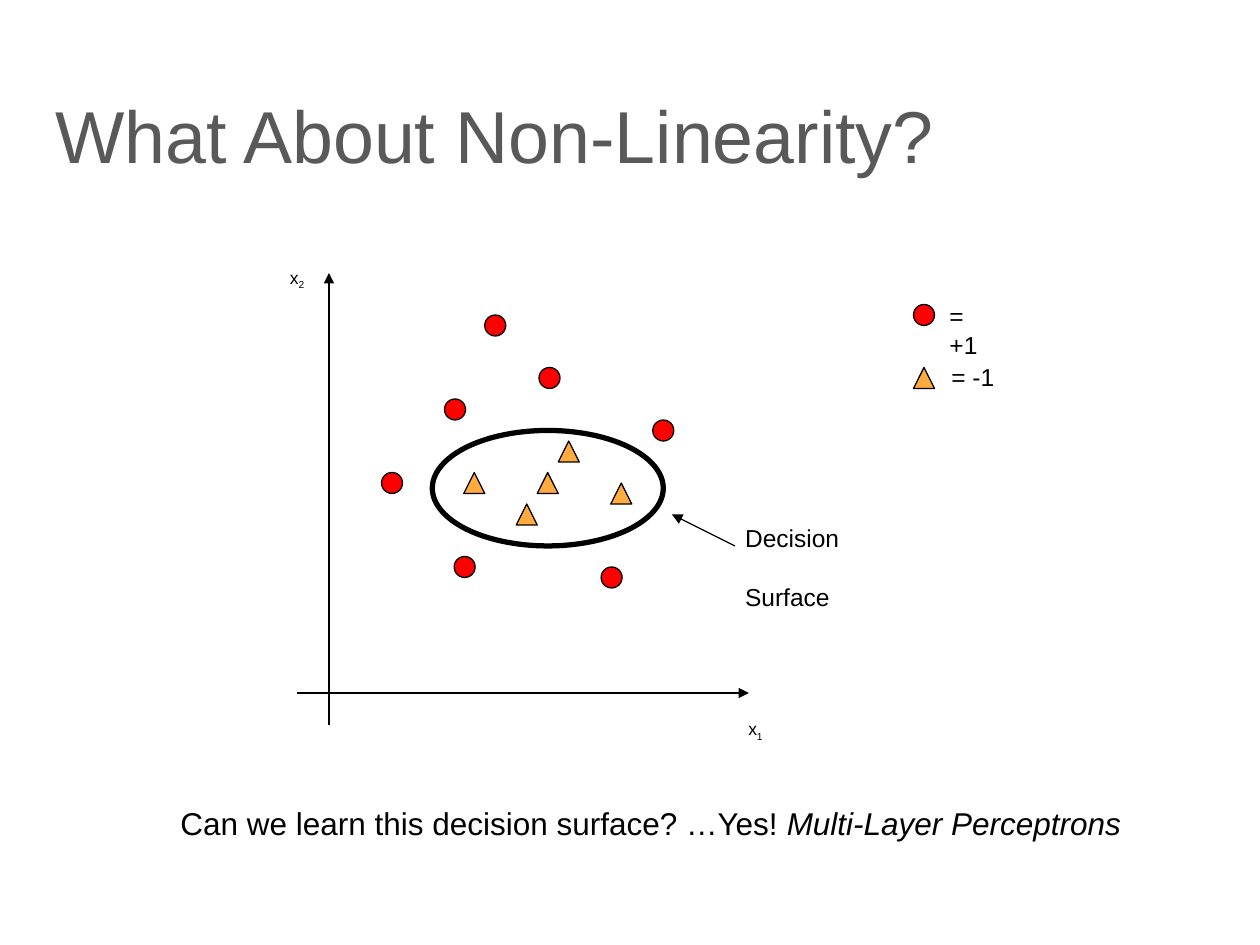
from dataclasses import dataclass

from lxml import etree
from pptx import Presentation
from pptx.dml.color import RGBColor
from pptx.enum import shapes, text
from pptx.oxml import ns
from pptx.util import Pt


@dataclass(frozen=True)
class Theme:
    font: str = "Arial"
    ink: str = "000000"
    grey: str = "595959"
    red: str = "FF0000"
    amber: str = "FFAB40"
    head: int = 42
    body: int = 18
    note: int = 14
    axis: int = 10
    thin: float = 0.75
    bold: float = 3


THEME = Theme()
OVAL = shapes.MSO_SHAPE.OVAL
WEDGE = shapes.MSO_SHAPE.ISOSCELES_TRIANGLE
SIZE = 12  # marker width and height

PLUS = [(277, 180), (373, 240), (343.5, 324), (218, 270),
        (254, 228), (259.5, 318), (308, 210)]
MINUS = [(265, 270), (319, 252), (295, 288), (307, 270), (349, 276)]


def rgb(code):
    return RGBColor.from_string(code)


def add_run(para, words, size, color=THEME.ink, italic=None, base=None):
    run = para.add_run()
    run.text = words
    font = run.font
    font.name, font.size, font.italic = THEME.font, Pt(size), italic
    font.color.rgb = rgb(color)
    if base:
        run._r.get_or_add_rPr().set("baseline", str(base * 1000))


def add_title(slide, words):
    title = slide.shapes.title
    title.left, title.top = Pt(24.5), Pt(46.8)
    title.width, title.height = Pt(671), Pt(60)
    frame = title.text_frame
    frame.auto_size = text.MSO_AUTO_SIZE.NONE
    frame.vertical_anchor = text.MSO_ANCHOR.MIDDLE
    para = frame.paragraphs[0]
    para.alignment = text.PP_ALIGN.LEFT
    add_run(para, words, THEME.head, THEME.grey)


def add_label(slide, box, size, *runs, wrap=True):
    """Add a text box; each run is (words, options). Return its frame."""
    frame = slide.shapes.add_textbox(*map(Pt, box)).text_frame
    frame.word_wrap = wrap
    for words, opts in runs:
        add_run(frame.paragraphs[0], words, size, **opts)
    return frame


def add_shape(slide, kind, box, fill=None, width=THEME.thin):
    shape = slide.shapes.add_shape(kind, *map(Pt, box))
    shape.shadow.inherit = False
    if fill:
        shape.fill.solid()
        shape.fill.fore_color.rgb = rgb(fill)
    else:
        shape.fill.background()
    shape.line.color.rgb = rgb(THEME.ink)
    shape.line.width = Pt(width)


def add_marks(slide, kind, fill, spots):
    for left, top in spots:
        add_shape(slide, kind, (left, top, SIZE, SIZE), fill)


def add_arrow(slide, start, end):
    arrow = slide.shapes.add_connector(
        shapes.MSO_CONNECTOR.STRAIGHT, *map(Pt, start + end))
    arrow.line.color.rgb = rgb(THEME.ink)
    arrow.line.width = Pt(THEME.thin)
    tip = etree.SubElement(arrow.line._get_or_add_ln(), ns.qn("a:tailEnd"))
    tip.set("type", "triangle")
    etree.SubElement(arrow._element.spPr, ns.qn("a:effectLst"))


def add_axes(slide):
    add_arrow(slide, (188, 414), (188, 156))
    add_arrow(slide, (170, 396), (428, 396))
    for digit, left, top in (("1", 420.5, 407), ("2", 158.5, 149)):
        add_label(slide, (left, top, 23, 19.5), THEME.axis,
                  ("x", {}), (digit, {"base": -25}), wrap=False)


def add_legend(slide):
    add_marks(slide, OVAL, THEME.red, [(522, 174)])
    add_marks(slide, WEDGE, THEME.amber, [(522, 210)])
    for words, left, top in (("= +1", 535.5, 168.5), ("= -1", 536.5, 203.5)):
        add_label(slide, (left, top, 42, 24), THEME.note, (words, {}),
                  wrap=False)


def add_surface(slide):
    add_shape(slide, OVAL, (247, 246, 132, 66), width=THEME.bold)
    frame = add_label(slide, (418.7, 295.5, 72, 41), THEME.note,
                      ("Decision", {}))
    para = frame.add_paragraph()
    para.space_before = Pt(17)
    add_run(para, "Surface", THEME.note)
    add_arrow(slide, (420, 312), (384, 294))


def main():
    deck = Presentation()
    deck.slide_width, deck.slide_height = Pt(720), Pt(540)
    slide = deck.slides.add_slide(deck.slide_layouts[5])
    add_title(slide, "What About Non-Linearity?")
    add_axes(slide)
    add_marks(slide, WEDGE, THEME.amber, MINUS)
    add_marks(slide, OVAL, THEME.red, PLUS)
    add_legend(slide)
    add_surface(slide)
    add_label(slide, (96, 456, 563, 29), THEME.body,
              ("Can we learn this decision surface? …Yes! ", {}),
              ("Multi-Layer Perceptrons", {"italic": True}))
    deck.save("out.pptx")


if __name__ == "__main__":
    main()
